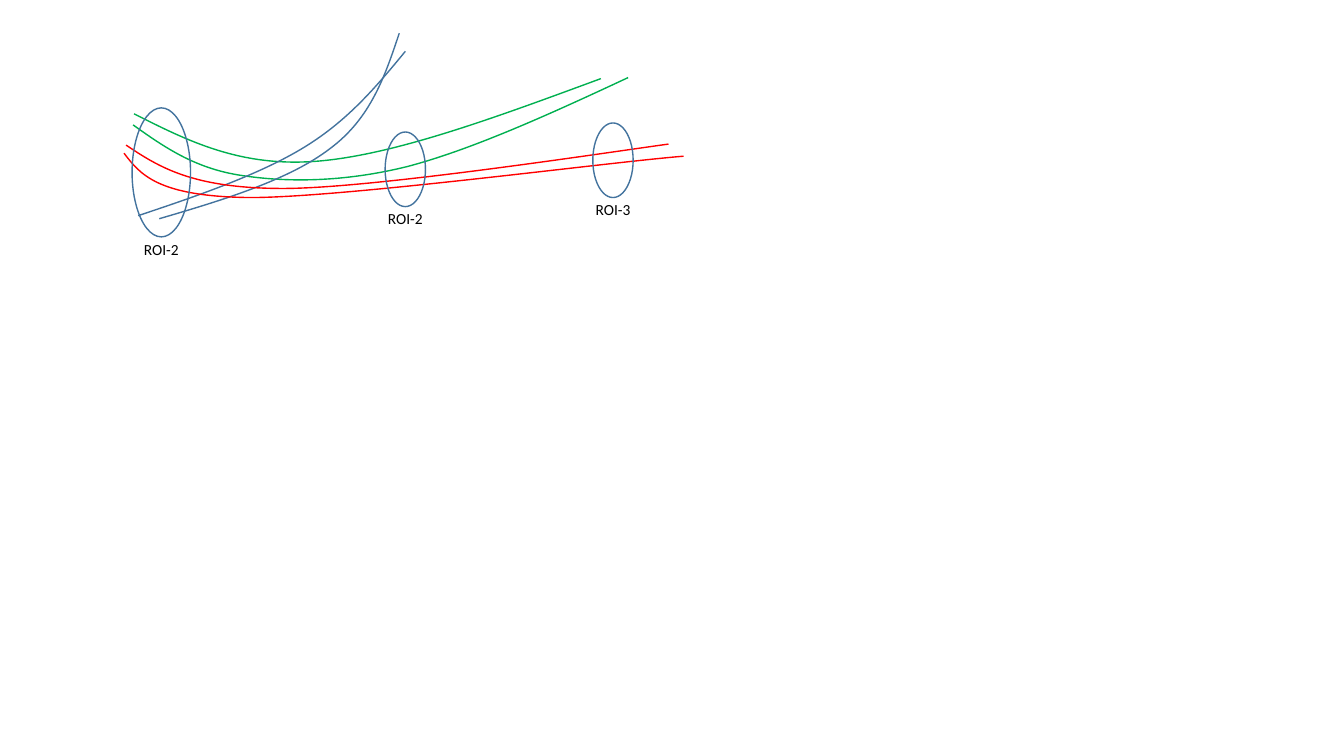
from pptx import Presentation
from pptx.dml.color import RGBColor
from pptx.enum.shapes import MSO_SHAPE
from pptx.enum.text import MSO_AUTO_SIZE, PP_ALIGN
from pptx.oxml.ns import qn
from pptx.util import Inches, Pt

GREEN = RGBColor(0x00, 0xB0, 0x50)
BLUE = RGBColor(0x43, 0x73, 0x9E)
RED = RGBColor(0xFF, 0x00, 0x00)
BLACK = RGBColor(0x00, 0x00, 0x00)

# Colour, then the start point followed by three Bezier points per segment
FIBERS = [
    (GREEN, [(1.33, 1.13), (1.85, 1.39), (2.37, 1.66), (3.14, 1.6),
             (3.91, 1.54), (4.93, 1.16), (5.96, 0.78)]),
    (GREEN, [(1.32, 1.24), (1.63, 1.46), (1.93, 1.67), (2.39, 1.74),
             (2.84, 1.81), (3.41, 1.81), (4.05, 1.65),
             (4.69, 1.48), (5.46, 1.13), (6.23, 0.77)]),
    (BLUE, [(1.37, 2.14), (1.97, 1.94), (2.58, 1.73), (3.02, 1.46),
            (3.46, 1.19), (3.74, 0.85), (4.02, 0.51)]),
    (BLUE, [(1.58, 2.17), (2.23, 1.98), (2.88, 1.78), (3.28, 1.47),
            (3.68, 1.17), (3.82, 0.75), (3.96, 0.33)]),
    (RED, [(1.25, 1.44), (1.58, 1.66), (1.91, 1.87), (2.81, 1.87),
           (3.7, 1.87), (6.04, 1.51), (6.63, 1.43)]),
    (RED, [(1.23, 1.52), (1.39, 1.73), (1.56, 1.95), (2.48, 1.96),
           (3.41, 1.96), (6.03, 1.61), (6.78, 1.55)]),
]

# Label, left, top, width, height of the ellipse
REGIONS = [
    ("ROI-2", 3.82, 1.31, 0.4, 0.74),
    ("ROI-3", 5.88, 1.22, 0.4, 0.74),
    ("ROI-2", 1.31, 1.07, 0.58, 1.28),
]
LABEL_W, LABEL_H, LABEL_OVERLAP = 0.55, 0.29, 0.02


def outline(sp, color):
    sp.shadow.inherit = False
    sp.fill.background()
    sp.line.color.rgb = color
    sp.line.width = Pt(1)


def add_curve(slide, points, color):
    """Draw a freeform whose segments are cubic Beziers."""
    start, *rest = [(Inches(x), Inches(y)) for x, y in points]
    builder = slide.shapes.build_freeform(*start)
    builder.add_line_segments(rest, close=False)
    sp = builder.convert_to_shape()
    lines = list(sp._element.iter(qn("a:lnTo")))
    for first, second, third in zip(lines[::3], lines[1::3], lines[2::3]):
        first.tag = qn("a:cubicBezTo")
        for line in (second, third):
            first.append(line[0])
            line.getparent().remove(line)
    outline(sp, color)


def add_text(slide, text, left, top, width, height, *, size=11,
             font="Calibri", color=BLACK, align=PP_ALIGN.CENTER):
    sp = slide.shapes.add_textbox(Inches(left), Inches(top),
                                  Inches(width), Inches(height))
    tf = sp.text_frame
    tf.word_wrap = False
    tf.auto_size = MSO_AUTO_SIZE.SHAPE_TO_FIT_TEXT
    p = tf.paragraphs[0]
    p.alignment = align
    r = p.add_run()
    r.text = text
    r.font.size = Pt(size)
    r.font.name = font
    r.font.color.rgb = color


def main():
    prs = Presentation()
    prs.slide_width, prs.slide_height = Inches(13.33), Inches(7.5)
    s = prs.slides.add_slide(prs.slide_layouts[6])

    for color, points in FIBERS:
        add_curve(s, points, color)
    for _, *box in REGIONS:
        sp = s.shapes.add_shape(MSO_SHAPE.OVAL, *map(Inches, box))
        outline(sp, BLUE)
    for label, left, top, width, height in REGIONS:
        add_text(s, label, left + (width - LABEL_W) / 2,
                 top + height - LABEL_OVERLAP, LABEL_W, LABEL_H)

    prs.save("out.pptx")


if __name__ == "__main__":
    main()
